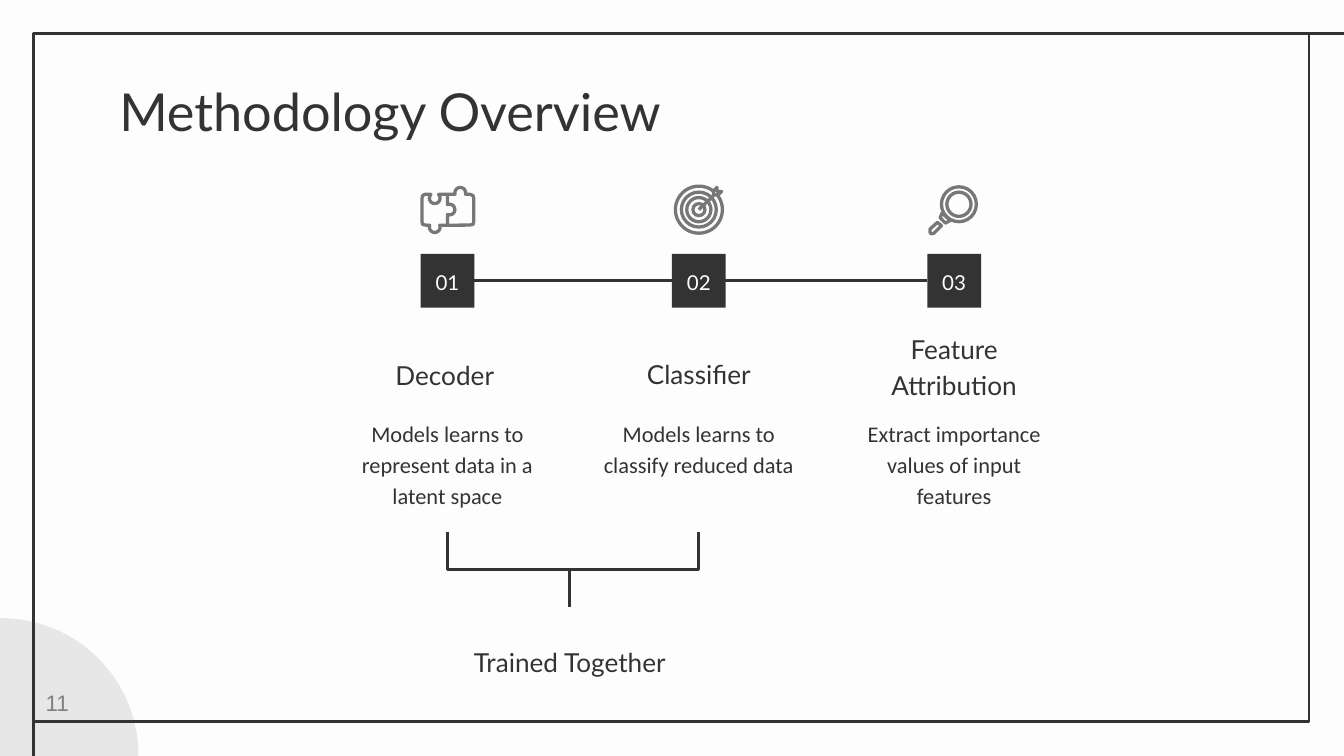
from collections import namedtuple
from dataclasses import dataclass
from math import cos, radians, sin

from lxml.etree import SubElement
from pptx import Presentation
from pptx.dml.color import RGBColor
from pptx.enum.shapes import MSO_CONNECTOR, MSO_SHAPE
from pptx.enum.text import MSO_ANCHOR, PP_ALIGN
from pptx.oxml.ns import qn
from pptx.util import Emu, Pt

EMU_PER_PX = 4572  # 200 px to the inch
WIDTH, HEIGHT = 2000, 1125

Box = namedtuple("Box", "left top width height")
Step = namedtuple("Step", "number heading detail center heading_center heading_bottom icon")


@dataclass(frozen=True)
class Theme:
    paper: str = "FDFDFD"
    ink: str = "333333"
    disc: str = "E8E7E7"
    icon: str = "777777"
    page: str = "7F7F7F"
    display: str = "Lato"
    body: str = "Calibri"
    page_font: str = "Arial"
    title_size: float = 28
    heading_size: float = 14
    body_size: float = 12
    number_size: float = 11
    rule: float = 1.5
    icon_rule: float = 1.75


THEME = Theme()


def px(length):
    return Emu(round(length * EMU_PER_PX))


def rgb(color):
    return RGBColor.from_string(color)


def paint(shape, fill=None, line=None, weight=THEME.rule):
    shape.shadow.inherit = False
    if fill:
        shape.fill.solid()
        shape.fill.fore_color.rgb = rgb(fill)
    else:
        shape.fill.background()
    if line:
        shape.line.color.rgb = rgb(line)
        shape.line.width = Pt(weight)
    else:
        shape.line.fill.background()
    return shape


def add_preset(slide, kind, box, **style):
    return paint(slide.shapes.add_shape(kind, *map(px, box)), **style)


def add_rule(slide, start, end, kind=MSO_CONNECTOR.STRAIGHT, color=THEME.ink, weight=THEME.rule):
    rule = slide.shapes.add_connector(kind, *map(px, (*start, *end)))
    rule.line.color.rgb = rgb(color)
    rule.line.width = Pt(weight)
    SubElement(rule._element.spPr, qn("a:effectLst"))
    return rule


def write(shape, text, size, font=THEME.display, color=THEME.ink, align=PP_ALIGN.CENTER,
          anchor=MSO_ANCHOR.TOP, spacing=1.15, inset=20):
    frame = shape.text_frame
    frame.word_wrap = True
    frame.vertical_anchor = anchor
    frame.margin_left = frame.margin_right = px(20)
    frame.margin_top = frame.margin_bottom = px(inset)
    paragraph = frame.paragraphs[0]
    paragraph.text = text
    paragraph.alignment = align
    paragraph.line_spacing = spacing
    paragraph.font.size = Pt(size)
    paragraph.font.name = font
    paragraph.font.color.rgb = rgb(color)


def add_text(slide, box, text, size, **style):
    write(slide.shapes.add_textbox(*map(px, box)), text, size, **style)


def arc(x, y, radius, start, end, pieces=12):
    """Points along an arc; angles in degrees, clockwise from the right."""
    angles = (radians(start + (end - start) * i / pieces) for i in range(pieces + 1))
    return [(x + radius * cos(a), y + radius * sin(a)) for a in angles]


def draw_outline(slide, box, points, close=True, fill=None):
    first, *rest = [(px(box.left + x), px(box.top + y)) for x, y in points]
    builder = slide.shapes.build_freeform(*first)
    builder.add_line_segments(rest, close=close)
    paint(builder.convert_to_shape(), fill, THEME.icon, THEME.icon_rule)


def draw_rings(slide, box, x, y, radii):
    for r in radii:
        ring = Box(box.left + x - r, box.top + y - r, 2 * r, 2 * r)
        add_preset(slide, MSO_SHAPE.OVAL, ring, line=THEME.icon, weight=THEME.icon_rule)


def draw_puzzle(slide, box):
    draw_outline(slide, box, [
        (8, 13), *arc(22, 19, 8, 225, -45), *arc(60, 11, 8, 165, 375),
        (74, 13), (79, 15), (80, 19), (80, 54), (79, 58), (74, 59),
        *arc(22, 62, 8, -20, 200), (8, 59), (4, 58), (3, 54), (3, 19), (4, 15)])
    draw_outline(slide, box, [(41, 13), *arc(44, 36, 8, -112, 112), (41, 59)], close=False)


def draw_target(slide, box):
    draw_rings(slide, box, 41, 36, (35, 26, 18, 9))
    draw_outline(slide, box, [(41, 36), (64, 14)], close=False)
    draw_outline(slide, box, [(63, 14), (63, 8), (68, 3), (68, 9), (75, 9), (70, 14)],
                 fill=THEME.paper)


def draw_magnifier(slide, box):
    draw_rings(slide, box, 48, 28, (26, 18))
    draw_outline(slide, box, [(23, 41), (20, 48), (28, 56), (35, 52)])
    draw_outline(slide, box, [(16, 55), (5, 65), (5, 70), (7, 72), (11, 71), (22, 60)])


def draw_frame(slide, box):
    """Border, the two rules that run off the slide, and the corner disc."""
    add_preset(slide, MSO_SHAPE.OVAL, Box(-202, 920, 408, 408), fill=THEME.disc)
    add_preset(slide, MSO_SHAPE.RECTANGLE, box, line=THEME.ink)
    add_rule(slide, (WIDTH, box.top), (box.left + box.width, box.top))
    add_rule(slide, (box.left, HEIGHT), (box.left, box.top + box.height))


def draw_step(slide, box, step):
    """Icon, number, heading and detail, stacked in one column."""
    step.icon(slide, Box(step.center - 41, box.top, 82, 74))
    badge = add_preset(slide, MSO_SHAPE.RECTANGLE,
                       Box(step.center - 40, box.top + 102, 80, 80), fill=THEME.ink)
    write(badge, step.number, THEME.number_size, color=THEME.paper, anchor=MSO_ANCHOR.MIDDLE)
    heading = Box(step.heading_center - box.width // 2,
                  box.top + step.heading_bottom - 174, box.width, 174)
    add_text(slide, heading, step.heading, THEME.heading_size, anchor=MSO_ANCHOR.BOTTOM)
    add_text(slide, Box(box.left, box.top + 324, box.width, 192), step.detail,
             THEME.body_size, font=THEME.body)


def draw_timeline(slide, box, steps):
    middle = box.top + 142
    add_rule(slide, (steps[0].center + 40, middle), (steps[-1].center - 40, middle))
    for step in steps:
        draw_step(slide, Box(step.center - 170, box.top, 340, box.height), step)


def add_branch(slide, start, end):
    """Elbow that leaves downwards, crosses over, and arrives downwards."""
    (x1, y1), (x2, y2) = start, end
    run, drop = abs(x2 - x1), y2 - y1
    left, top = (x1 + x2 - drop) / 2, (y1 + y2 - run) / 2
    corners = (left, top), (left + drop, top + run)
    if x2 > x1:
        corners = (left + drop, top), (left, top + run)
    branch = add_rule(slide, *corners, kind=MSO_CONNECTOR.ELBOW)
    turn = 270 if x2 > x1 else 90
    branch._element.spPr.find(qn("a:xfrm")).set("rot", str(turn * 60000))


def draw_bracket(slide, box, label):
    """Joins the two top corners of the box to a label below it."""
    stem = (box.left + 182, box.top + box.height)
    for x in (box.left, box.left + box.width):
        add_branch(slide, (x, box.top), stem)
    add_text(slide, Box(stem[0] - 167, stem[1], 334, 124), label,
             THEME.heading_size, anchor=MSO_ANCHOR.BOTTOM)


def main():
    deck = Presentation()
    deck.slide_width, deck.slide_height = px(WIDTH), px(HEIGHT)
    slide = deck.slides.add_slide(deck.slide_layouts[6])
    slide.background.fill.solid()
    slide.background.fill.fore_color.rgb = rgb(THEME.paper)

    draw_frame(slide, Box(50, 50, 1898, 1024))
    add_text(slide, Box(158, 98, 1686, 126), "Methodology Overview", THEME.title_size,
             align=PP_ALIGN.LEFT, spacing=1.0)
    steps = [
        Step("01", "Decoder", "Models learns to represent data in a latent space",
             666, 662, 326, draw_puzzle),
        Step("02", "Classifier", "Models learns to classify reduced data",
             1040, 1040, 324, draw_target),
        Step("03", "Feature Attribution", "Extract importance values of input features",
             1420, 1420, 340, draw_magnifier),
    ]
    draw_timeline(slide, Box(496, 276, 1094, 516), steps)
    draw_bracket(slide, Box(666, 792, 374, 112), "Trained Together")
    add_text(slide, Box(0, 1016, 122, 60), "11", THEME.body_size, font=THEME.page_font,
             color=THEME.page, align=PP_ALIGN.RIGHT, anchor=MSO_ANCHOR.MIDDLE,
             spacing=1.0, inset=10)
    deck.save("out.pptx")


if __name__ == "__main__":
    main()
